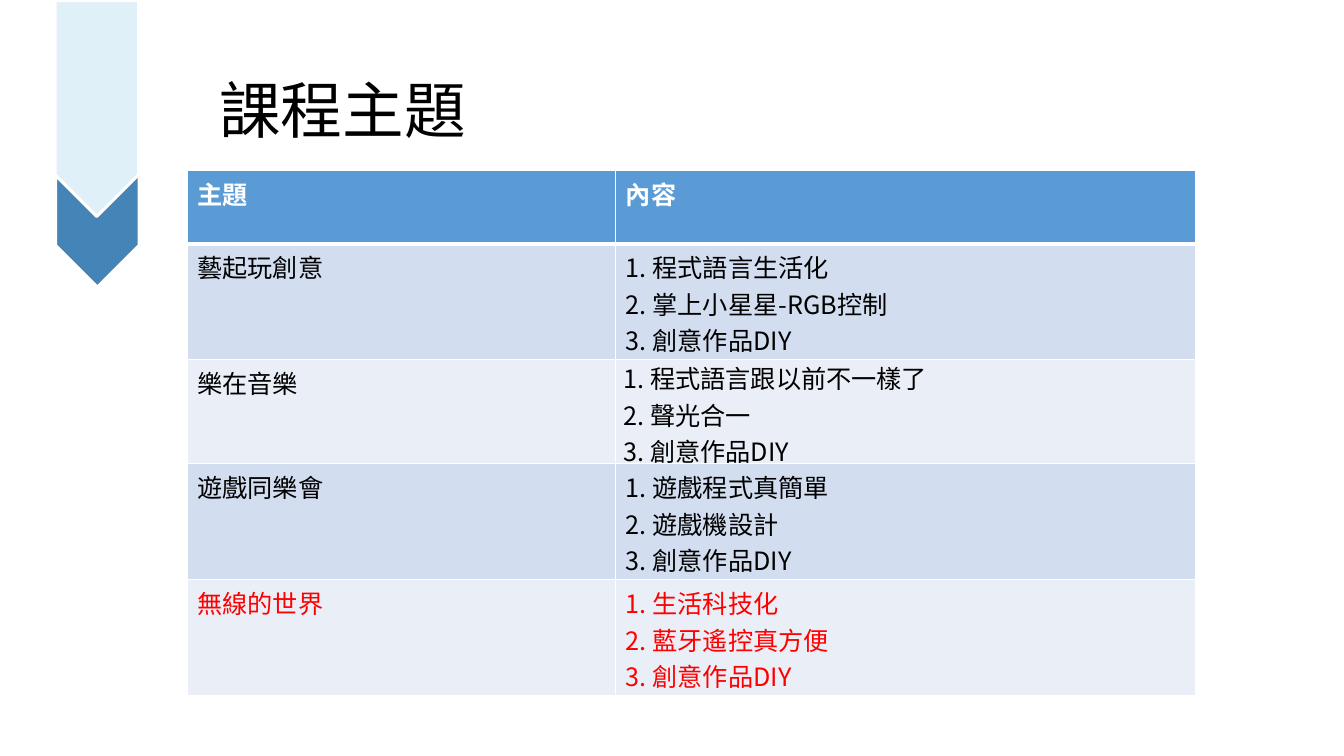
"""Build the course topics slide: a ribbon, a title and a table of topics."""
import pptx
import pptx.dml.color
import pptx.enum.shapes
import pptx.enum.text
import pptx.oxml.ns
import pptx.util
from lxml import etree

Cm = pptx.util.Cm
Pt = pptx.util.Pt
FONT = "Noto Sans CJK SC"
COLORS = {
    "white": "FFFFFF", "black": "000000", "red": "FF0000",
    "header": "5B9BD5", "band_dark": "D2DEEF", "band_light": "EAEFF7",
    "ribbon_dark": "4584B7", "ribbon_light": "DFF0F9",
}


def rgb(name):
    return pptx.dml.color.RGBColor.from_string(COLORS[name])


def write_lines(frame, lines, color, **formats):
    for number, line in enumerate(lines):
        paragraph = frame.paragraphs[0] if number == 0 else frame.add_paragraph()
        run = paragraph.add_run()
        run.text = line
        for attribute, value in {"name": FONT, **formats}.items():
            setattr(run.font, attribute, value)
        run.font.color.rgb = rgb(color)
        east_asian = etree.SubElement(run.font._element, pptx.oxml.ns.qn("a:ea"))
        east_asian.set("typeface", FONT)


deck = pptx.Presentation()
deck.slide_width, deck.slide_height = Cm(33.87), Cm(19.05)
slide = deck.slides.add_slide(deck.slide_layouts[6])

for left, top, length, color in [
    (0.08, 3.81, 4.75, "ribbon_dark"),
    (-0.28, 1.68, 5.44, "ribbon_light"),
]:
    ribbon = slide.shapes.add_shape(
        pptx.enum.shapes.MSO_SHAPE.PENTAGON, Cm(left), Cm(top), Cm(length), Cm(2.11))
    ribbon.rotation = 90
    ribbon.shadow.inherit = False
    ribbon.fill.solid()
    ribbon.fill.fore_color.rgb = rgb(color)
    ribbon.line.color.rgb = rgb("white")
    ribbon.line.width = Pt(2.25)

title = slide.shapes.add_textbox(Cm(5.28), Cm(1.02), Cm(26.21), Cm(3.68)).text_frame
title.word_wrap = True
title.vertical_anchor = pptx.enum.text.MSO_ANCHOR.MIDDLE
write_lines(title, ["課程主題"], "black", size=Pt(44))
title.paragraphs[0].line_spacing = 0.9

topics = [
    (["主題"], ["內容"]),
    (["藝起玩創意"], ["1. 程式語言生活化", "2. 掌上小星星-RGB控制", "3. 創意作品DIY"]),
    (["樂在音樂"], ["1. 程式語言跟以前不一樣了", "2. 聲光合一", "3. 創意作品DIY"]),
    (["遊戲同樂會"], ["1. 遊戲程式真簡單", "2. 遊戲機設計", "3. 創意作品DIY"]),
    (["無線的世界"], ["1. 生活科技化", "2. 藍牙遙控真方便", "3. 創意作品DIY"]),
]
row_styles = [
    ("header", "white", 1.85),
    ("band_dark", "black", 2.92),
    ("band_light", "black", 2.62),
    ("band_dark", "black", 2.92),
    ("band_light", "red", 2.92),
]
topic_table = slide.shapes.add_table(
    len(topics), 2, Cm(4.72), Cm(4.29), Cm(25.4), Cm(13.23)).table
for column, width in zip(topic_table.columns, (10.8, 14.6)):
    column.width = Cm(width)

for row, (contents, (fill, color, height)) in enumerate(zip(topics, row_styles)):
    topic_table.rows[row].height = Cm(height)
    for column, lines in enumerate(contents):
        cell = topic_table.cell(row, column)
        write_lines(cell.text_frame, lines, color, size=Pt(18), bold=row == 0)
        properties = cell._tc.get_or_add_tcPr()
        for side in ("L", "R", "T", "B"):
            below_header = (row, side) in [(0, "B"), (1, "T")]
            border = etree.SubElement(properties, pptx.oxml.ns.qn(f"a:ln{side}"))
            border.set("w", str(Pt(3 if below_header else 1)))
            border_fill = etree.SubElement(border, pptx.oxml.ns.qn("a:solidFill"))
            border_color = etree.SubElement(border_fill, pptx.oxml.ns.qn("a:srgbClr"))
            border_color.set("val", COLORS["white"])
        cell.fill.solid()
        cell.fill.fore_color.rgb = rgb(fill)

music_contents = topic_table.cell(2, 1)
for side, margin in {"left": 0.19, "right": 0.19, "top": 0, "bottom": 0}.items():
    setattr(music_contents, f"margin_{side}", Cm(margin))

deck.save("out.pptx")
